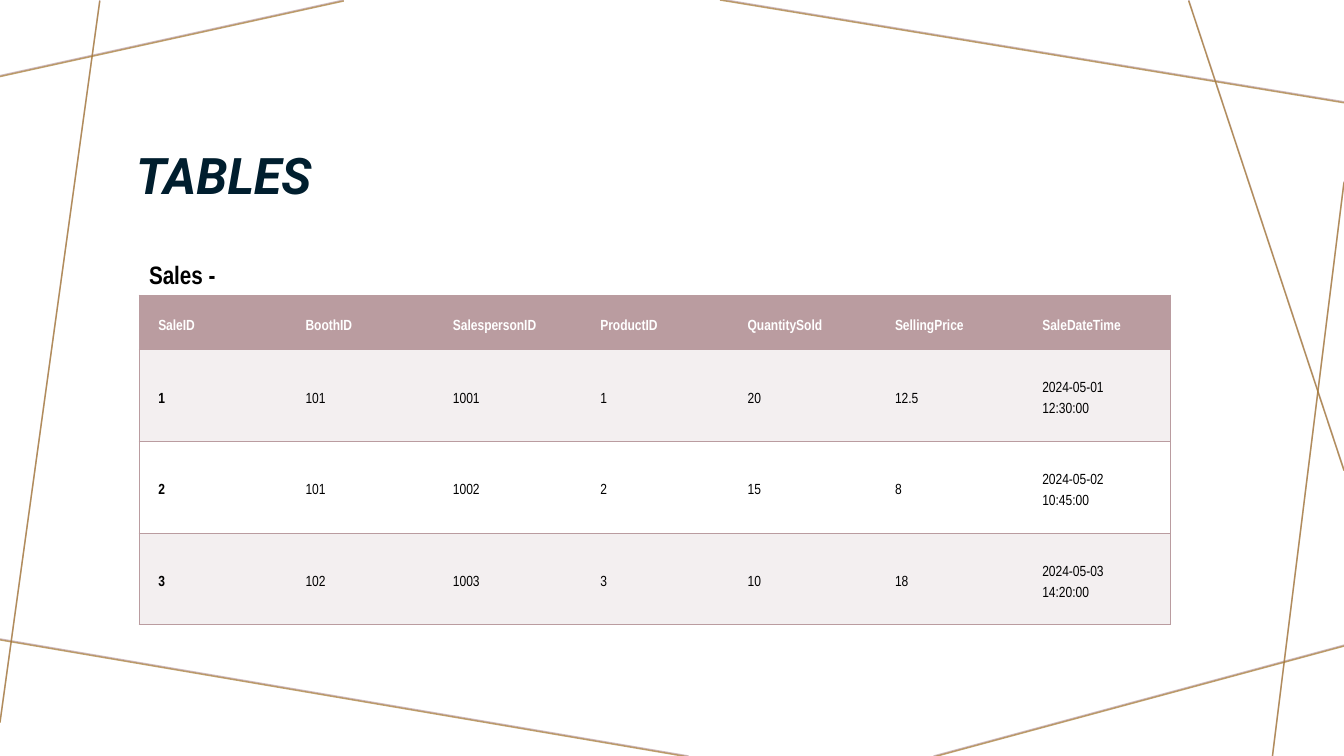
from lxml.etree import SubElement
from pptx import Presentation
from pptx.dml.color import RGBColor
from pptx.enum.shapes import MSO_CONNECTOR
from pptx.enum.text import MSO_ANCHOR, MSO_AUTO_SIZE, PP_ALIGN
from pptx.oxml.ns import qn
from pptx.util import Inches, Pt

COLORS = {
    "rose": "BA9CA0", "gold": "A57931", "navy": "001E2E",
    "band": "F3EFF0", "white": "FFFFFF", "black": "000000",
}
BODY_FONT = "Arial Narrow"

# Frame lines: start x, start y, end x, end y in inches
FRAME_LINES = [
    (3.41, 0, 0, 0.75),
    (0.99, 0, 0, 7.16),
    (6.83, 7.5, -0.05, 6.33),
    (13.33, 6.4, 9.26, 7.5),
    (13.33, 1.8, 12.62, 7.5),
    (13.33, 4.66, 11.79, 0),
    (13.33, 1.01, 7.14, -0.01),
]
GOLD_OFFSET = 0.01

SALES = [
    ["SaleID", "BoothID", "SalespersonID", "ProductID", "QuantitySold",
     "SellingPrice", "SaleDateTime"],
    ["1", "101", "1001", "1", "20", "12.5", "2024-05-01 12:30:00"],
    ["2", "101", "1002", "2", "15", "8", "2024-05-02 10:45:00"],
    ["3", "102", "1003", "3", "10", "18", "2024-05-03 14:20:00"],
]
HEADER_HEIGHT, SALE_HEIGHT = 0.54, 0.91
TABLE_WIDTH = 10.23
CELL_FORMAT = {
    "vertical_anchor": MSO_ANCHOR.MIDDLE,
    "margin_left": Inches(0.19), "margin_right": Inches(0.19),
    "margin_top": Inches(0.04), "margin_bottom": Inches(0.04),
}


def rgb(color):
    return RGBColor.from_string(COLORS[color])


def apply_format(target, values):
    for name, value in values.items():
        setattr(target, name, value)


def write_text(frame, text, color, paragraph_format, font_format):
    paragraph = frame.paragraphs[0]
    apply_format(paragraph, {"alignment": PP_ALIGN.LEFT, **paragraph_format})
    run = paragraph.add_run()
    run.text = text
    apply_format(run.font, font_format)
    run.font.color.rgb = rgb(color)


def add_frame_line(slide, ends, color, offset):
    x1, y1, x2, y2 = ends
    frame_line = slide.shapes.add_connector(
        MSO_CONNECTOR.STRAIGHT, Inches(x1), Inches(y1 + offset),
        Inches(x2), Inches(y2 + offset))
    frame_line.line.width = Pt(1)
    frame_line.line.color.rgb = rgb(color)
    properties = frame_line.element.spPr
    # 70 % opacity and no shadow
    SubElement(properties.find(".//" + qn("a:srgbClr")), qn("a:alpha"), val="70000")
    SubElement(properties, qn("a:effectLst"))


def set_borders(cell, visible_sides):
    properties = cell._tc.get_or_add_tcPr()
    for side in "LRTB":
        border = SubElement(properties, qn(f"a:ln{side}"), w=str(Pt(1)))
        if side in visible_sides:
            fill = SubElement(border, qn("a:solidFill"))
            SubElement(fill, qn("a:srgbClr"), val=COLORS["rose"])
        else:
            SubElement(border, qn("a:noFill"))


def add_title(slide):
    title = slide.shapes.title
    apply_format(title, {"left": Inches(1.25), "top": Inches(0.58),
                         "width": Inches(10.83), "height": Inches(1.51)})
    apply_format(title.text_frame, {"vertical_anchor": MSO_ANCHOR.BOTTOM,
                                    "word_wrap": True})
    write_text(title.text_frame, "TABLES", "navy", {"line_spacing": 0.9},
               {"name": "Roboto", "size": Pt(36), "bold": True, "italic": True})


def add_sales_table(slide):
    column_count = len(SALES[0])
    height = HEADER_HEIGHT + SALE_HEIGHT * (len(SALES) - 1)
    sales_table = slide.shapes.add_table(
        len(SALES), column_count, Inches(1.38), Inches(2.93),
        Inches(TABLE_WIDTH), Inches(height)).table
    sales_table.horz_banding = False
    for column in sales_table.columns:
        column.width = Inches(TABLE_WIDTH / column_count)

    for row, values in enumerate(SALES):
        is_header = row == 0
        sales_table.rows[row].height = Inches(HEADER_HEIGHT if is_header else SALE_HEIGHT)
        fill = "rose" if is_header else "band" if row % 2 else "white"
        for column, value in enumerate(values):
            cell = sales_table.cell(row, column)
            apply_format(cell, CELL_FORMAT)
            sides = "TB" + "L" * (column == 0) + "R" * (column == column_count - 1)
            set_borders(cell, sides)
            cell.fill.solid()
            cell.fill.fore_color.rgb = rgb(fill)
            write_text(cell.text_frame, value, "white" if is_header else "black",
                       {"line_spacing": Pt(15)},
                       {"name": BODY_FONT, "size": Pt(10.5),
                        "bold": is_header or column == 0})


def add_table_caption(slide):
    caption = slide.shapes.add_textbox(
        Inches(1.38), Inches(2.52), Inches(2.26), Inches(0.4)).text_frame
    apply_format(caption, {"word_wrap": True,
                           "auto_size": MSO_AUTO_SIZE.SHAPE_TO_FIT_TEXT})
    write_text(caption, "Sales -", "black", {},
               {"name": BODY_FONT, "size": Pt(18), "bold": True})


def main():
    presentation = Presentation()
    presentation.slide_width = Inches(13.33)
    presentation.slide_height = Inches(7.5)
    slide = presentation.slides.add_slide(presentation.slide_layouts.get_by_name("Title Only"))

    # Rose lines with gold lines just below them
    for color, offset in (("rose", 0), ("gold", GOLD_OFFSET)):
        for ends in FRAME_LINES:
            add_frame_line(slide, ends, color, offset)

    # Title, table and caption
    add_title(slide)
    add_sales_table(slide)
    add_table_caption(slide)
    presentation.save("out.pptx")


if __name__ == "__main__":
    main()
